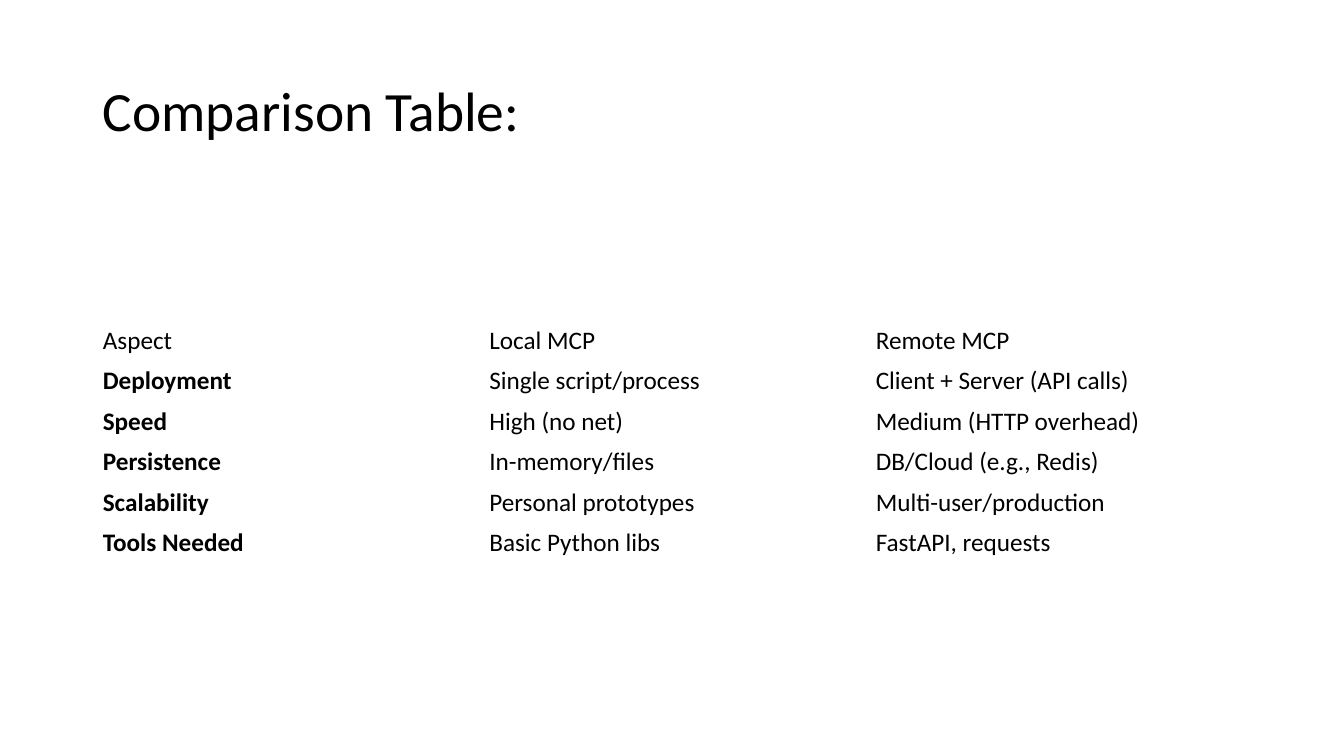
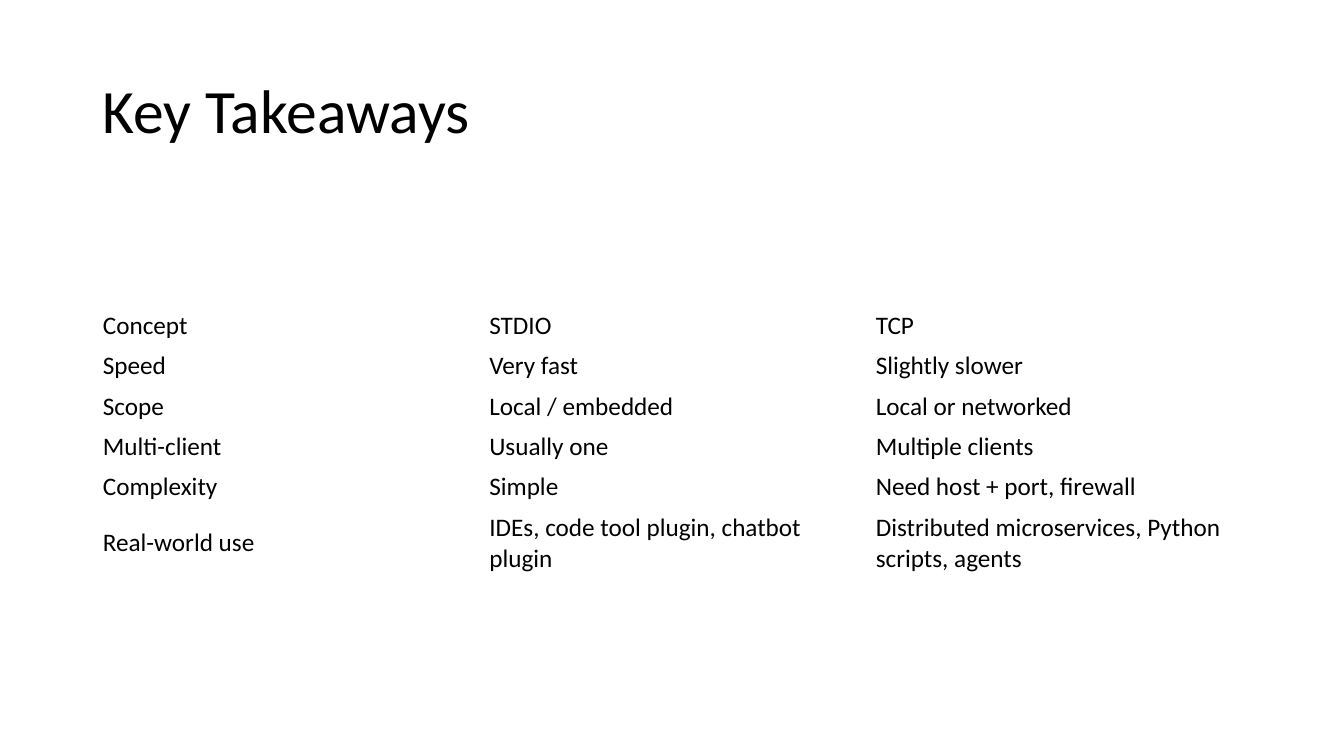
from pptx import Presentation
from pptx import util as u
from pptx.dml.color import RGBColor
from pptx.enum import text

FONT = "Calibri"
INK = "000000"
TITLE_BOX = (0.92, 0.4, 11.5, 1.45)
TABLE_LEFT, TABLE_WIDTH = 0.92, 11.5
ROW_HEIGHT, TALL_ROW_HEIGHT = 0.4, 0.7

COMPARISON = [
    ("Aspect", "Local MCP", "Remote MCP"),
    ("Deployment", "Single script/process", "Client + Server (API calls)"),
    ("Speed", "High (no net)", "Medium (HTTP overhead)"),
    ("Persistence", "In-memory/files", "DB/Cloud (e.g., Redis)"),
    ("Scalability", "Personal prototypes", "Multi-user/production"),
    ("Tools Needed", "Basic Python libs", "FastAPI, requests"),
]
TAKEAWAYS = [
    ("Concept", "STDIO", "TCP"),
    ("Speed", "Very fast", "Slightly slower"),
    ("Scope", "Local / embedded", "Local or networked"),
    ("Multi-client", "Usually one", "Multiple clients"),
    ("Complexity", "Simple", "Need host + port, firewall"),
    ("Real-world use", "IDEs, code tool plugin, chatbot plugin",
     "Distributed microservices, Python scripts, agents"),
]


def color(value):
    return RGBColor.from_string(value)


def write(frame, words, size=18, bold=False, line_spacing=None):
    """Put one formatted paragraph in a text frame."""
    paragraph = frame.paragraphs[0]
    paragraph.line_spacing = line_spacing
    run = paragraph.add_run()
    run.text = words
    run.font.name = FONT
    run.font.size = u.Pt(size)
    run.font.bold = bold
    run.font.color.rgb = color(INK)


def add_title(slide, box, words, size):
    shape = slide.shapes.add_textbox(*map(u.Inches, box))
    frame = shape.text_frame
    frame.word_wrap = True
    frame.vertical_anchor = text.MSO_ANCHOR.MIDDLE
    write(frame, words, size=size, line_spacing=0.9)


def add_plain_table(slide, box, rows, heights, bold_labels):
    """Table without fills; labels below the header may be bold."""
    columns = len(rows[0])
    table = slide.shapes.add_table(len(rows), columns, *map(u.Inches, box)).table
    table.first_row = table.horz_banding = False
    for column in table.columns:
        column.width = u.Inches(box[2] / columns)
    for r, (values, height) in enumerate(zip(rows, heights)):
        table.rows[r].height = u.Inches(height)
        for c, value in enumerate(values):
            cell = table.cell(r, c)
            cell.fill.background()
            cell.vertical_anchor = text.MSO_ANCHOR.MIDDLE
            write(cell.text_frame, value, bold=bold_labels and r > 0 and c == 0)


def add_table_slide(presentation, title, title_size, rows, top,
                    last_height=ROW_HEIGHT, bold_labels=False):
    slide = presentation.slides.add_slide(presentation.slide_layouts[6])
    slide.background.fill.solid()
    slide.background.fill.fore_color.rgb = color("FFFFFF")
    add_title(slide, TITLE_BOX, title, title_size)
    heights = [ROW_HEIGHT] * (len(rows) - 1) + [last_height]
    box = (TABLE_LEFT, top, TABLE_WIDTH, sum(heights))
    add_plain_table(slide, box, rows, heights, bold_labels)


def main():
    presentation = Presentation()
    presentation.slide_width = u.Inches(13.33)
    presentation.slide_height = u.Inches(7.5)
    add_table_slide(presentation, "Comparison Table:", 39.6, COMPARISON, 3.18,
                    bold_labels=True)
    add_table_slide(presentation, "Key Takeaways", 44, TAKEAWAYS, 3.03,
                    last_height=TALL_ROW_HEIGHT)
    presentation.save("out.pptx")


if __name__ == "__main__":
    main()
